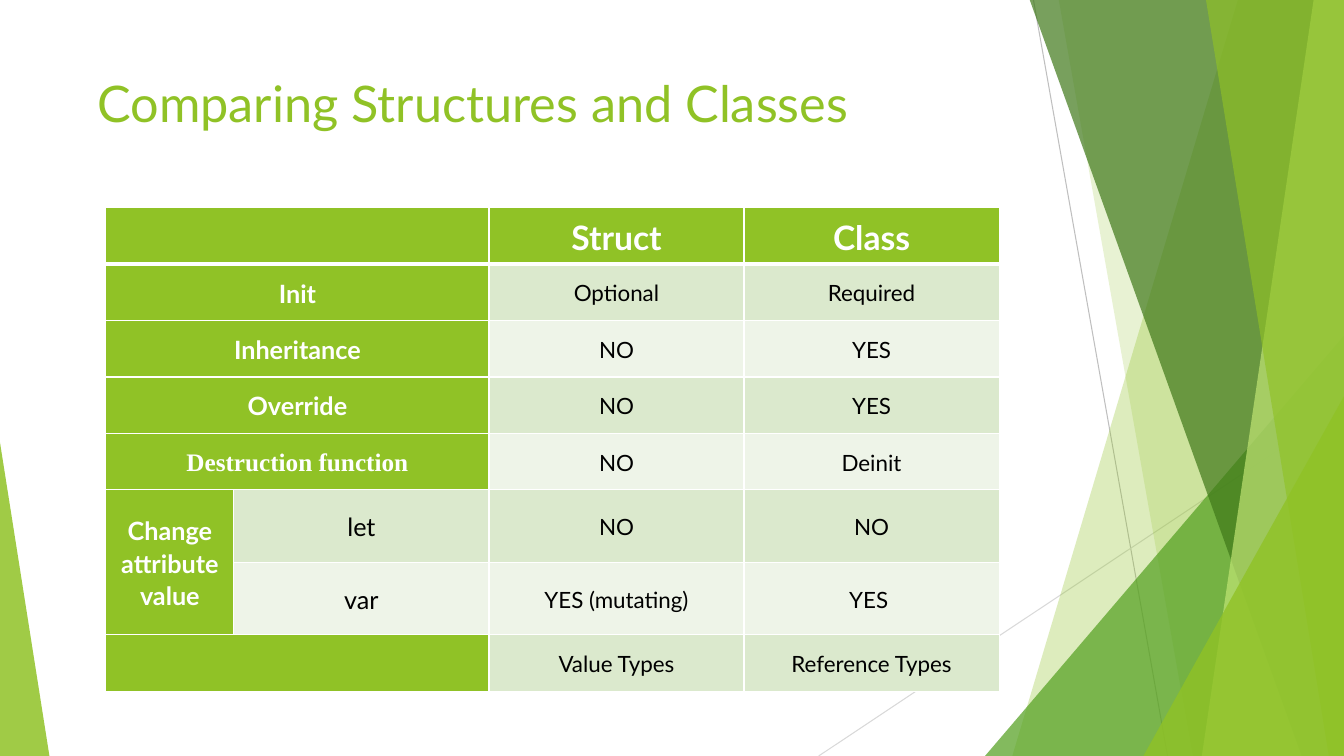
import pptx
import pptx.dml.color
import pptx.enum.shapes
import pptx.enum.text
import pptx.oxml
import pptx.oxml.ns
import pptx.util
from pptx.util import Inches, Pt

COLORS = {
    "lime": "90C226", "green": "54A021", "forest": "3F7819", "pale": "C0E474",
    "gray": "BFBFBF", "light_gray": "D9D9D9", "white": "FFFFFF", "black": "000000",
    "odd_row": "DBE9CD", "even_row": "EEF4E8",
}
WIDTH, HEIGHT = 13.33, 7.5
FONT = "Lato"
TITLE = " Comparing Structures and Classes"

# None marks a cell covered by a merged one
ROWS = [
    ["", None, "Struct", "Class"],
    ["Init", None, "Optional", "Required"],
    ["Inheritance", None, "NO", "YES"],
    ["Override", None, "NO", "YES"],
    ["Destruction function", None, "NO", "Deinit"],
    ["Change attribute value", "let", "NO", "NO"],
    [None, "var", "YES (mutating)", "YES "],
    ["", None, "Value Types", "Reference Types"],
]
COLUMN_WIDTHS = [1.27, 2.53, 2.53, 2.53]
ROW_HEIGHTS = [0.56] * 5 + [0.72] * 2 + [0.56]
TABLE_LEFT, TABLE_TOP = 1.05, 2.06
SERIF_LABEL = "Destruction function"

RAYS = [((10.25, 0), (11.58, HEIGHT), "gray"), ((WIDTH, 4.03), (8.12, HEIGHT), "light_gray")]
# Bands run to the right edge: (top left x, bottom left x, colour, opacity %)
# Wedges stand on the bottom edge: (left, top, width, apex, colour, opacity %)
FACETS = [
    ("band", 12.28, 10.04, "lime", 30),
    ("band", 10.5, 11.83, "lime", 20),
    ("wedge", 9.77, 3.33, 3.56, 1, "green", 72),
    ("band", 10.21, 12.91, "forest", 70),
    ("band", 13.03, 11.92, "pale", 70),
    ("band", 11.96, 13.18, "lime", 65),
    ("wedge", 11.34, 3.93, 1.99, 1, "lime", 80),
    ("wedge", 0, 4.39, 0.49, 0, "lime", 85),
]


def rgb(color):
    return pptx.dml.color.RGBColor.from_string(COLORS[color])


def add_child(parent, tag, **attributes):
    child = pptx.oxml.parse_xml(f"<{tag} {pptx.oxml.ns.nsdecls('a')}/>")
    for key, value in attributes.items():
        child.set(key, str(value))
    parent.append(child)
    return child


def add_run(paragraph, text, size, color, bold=False, font=FONT):
    run = paragraph.add_run()
    run.text = text
    run.font.name, run.font.size, run.font.bold = font, Pt(size), bold
    run.font.color.rgb = rgb(color)


def add_ray(shapes, start, end, color):
    ray = shapes.add_connector(pptx.enum.shapes.MSO_CONNECTOR.STRAIGHT,
                               *map(Inches, start + end))
    ray.line.color.rgb = rgb(color)
    ray.line.width = Pt(0.75)
    add_child(ray._element.spPr, "a:effectLst")


def add_band(shapes, top_x, bottom_x):
    top = -0.01
    corners = [(WIDTH, top), (WIDTH, HEIGHT), (bottom_x, HEIGHT)]
    outline = shapes.build_freeform(Inches(top_x), Inches(top))
    outline.add_line_segments([(Inches(x), Inches(y)) for x, y in corners])
    return outline.convert_to_shape()


def add_wedge(shapes, left, top, width, apex):
    wedge = shapes.add_shape(pptx.enum.shapes.MSO_SHAPE.ISOSCELES_TRIANGLE,
                             *map(Inches, (left, top, width, HEIGHT - top)))
    wedge.adjustments[0] = apex
    return wedge


def add_facet(shapes, kind, *details):
    *geometry, color, opacity = details
    facet = (add_band if kind == "band" else add_wedge)(shapes, *geometry)
    facet.shadow.inherit = False
    facet.line.fill.background()
    facet.fill.solid()
    facet.fill.fore_color.rgb = rgb(color)
    fill_color = facet._element.spPr.find(".//" + pptx.oxml.ns.qn("a:srgbClr"))
    add_child(fill_color, "a:alpha", val=opacity * 1000)


def add_title(shapes):
    box = shapes.add_textbox(Inches(0.74), Inches(0.67), Inches(9.4), Inches(0.85))
    box.text_frame.word_wrap = True
    add_run(box.text_frame.paragraphs[0], TITLE, 36, "lime")


def set_borders(cell, row):
    """White rules all round, heavier between the header and the body."""
    properties = cell._tc.get_or_add_tcPr()
    heavy = {(0, "B"), (1, "T")}
    for position, side in enumerate("LRTB"):
        width = 3 if (row, side) in heavy else 1
        border = add_child(properties, f"a:ln{side}", w=Pt(width))
        add_child(add_child(border, "a:solidFill"), "a:srgbClr", val=COLORS["white"])
        properties.insert(position, border)


def fill_cell(cell, row, column, text):
    is_label = row == 0 or column == 0 or (column == 1 and text is None)
    stripe = "odd_row" if row % 2 else "even_row"
    cell.fill.solid()
    cell.fill.fore_color.rgb = rgb("lime" if is_label else stripe)
    set_borders(cell, row)
    cell.margin_left = cell.margin_right = Inches(0.07)
    cell.margin_top = cell.margin_bottom = 0
    cell.vertical_anchor = pptx.enum.text.MSO_ANCHOR.MIDDLE
    if text:
        paragraph = cell.text_frame.paragraphs[0]
        paragraph.alignment = pptx.enum.text.PP_ALIGN.CENTER
        paragraph.line_spacing = 1.07
        paragraph.space_after = Pt(8)
        size = 24 if row == 0 else 18 if column < 2 else 16
        font = "Times New Roman" if text == SERIF_LABEL else FONT
        add_run(paragraph, text, size, "white" if is_label else "black", is_label, font)


def add_comparison(shapes):
    table = shapes.add_table(
        len(ROWS), len(COLUMN_WIDTHS), Inches(TABLE_LEFT), Inches(TABLE_TOP),
        Inches(sum(COLUMN_WIDTHS)), Inches(sum(ROW_HEIGHTS))).table
    for column, width in zip(table.columns, COLUMN_WIDTHS):
        column.width = Inches(width)
    for row, height in zip(table.rows, ROW_HEIGHTS):
        row.height = Inches(height)
    for r, texts in enumerate(ROWS):
        for c, text in enumerate(texts):
            fill_cell(table.cell(r, c), r, c, text)
        if texts[1] is None:
            table.cell(r, 0).merge(table.cell(r, 1))
        elif texts[0] is None:
            table.cell(r - 1, 0).merge(table.cell(r, 0))


def main():
    deck = pptx.Presentation()
    deck.slide_width, deck.slide_height = Inches(WIDTH), Inches(HEIGHT)
    shapes = deck.slides.add_slide(deck.slide_layouts[6]).shapes
    for ray in RAYS:
        add_ray(shapes, *ray)
    for facet in FACETS:
        add_facet(shapes, *facet)
    add_title(shapes)
    add_comparison(shapes)
    deck.save("out.pptx")


if __name__ == "__main__":
    main()
